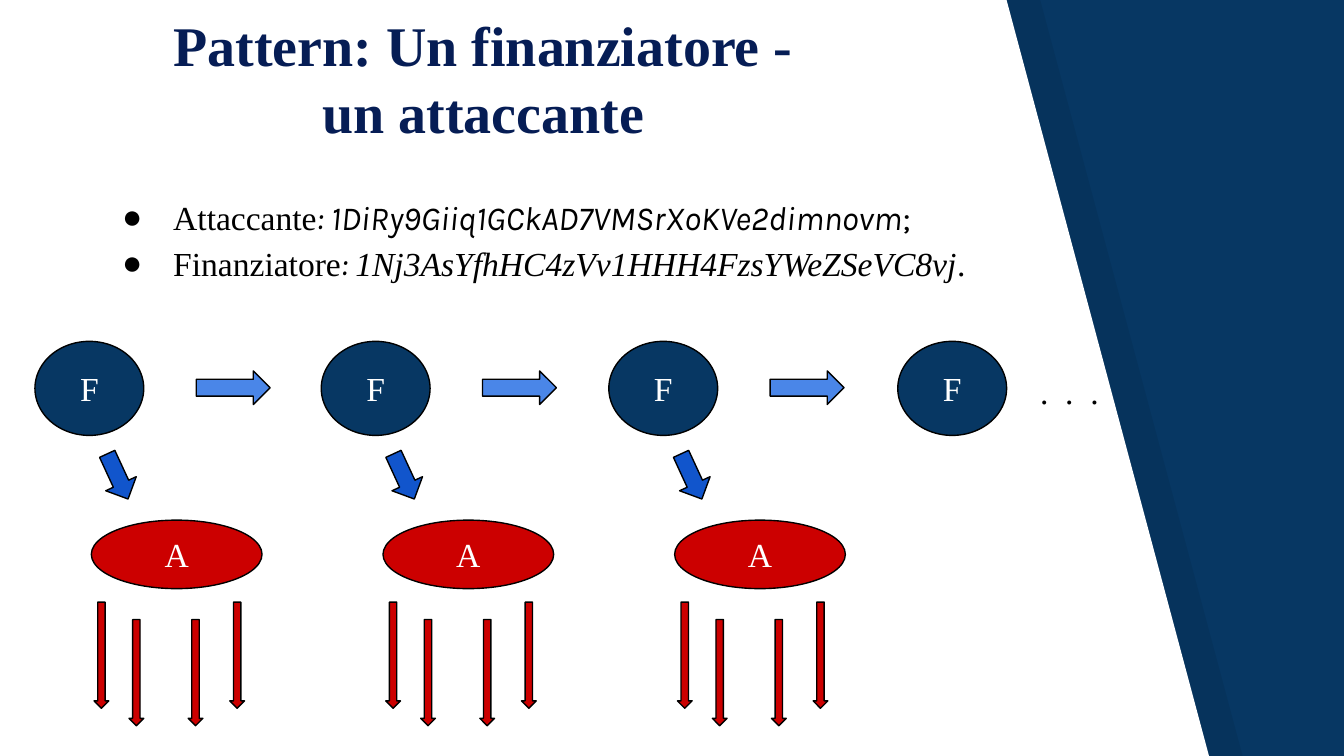
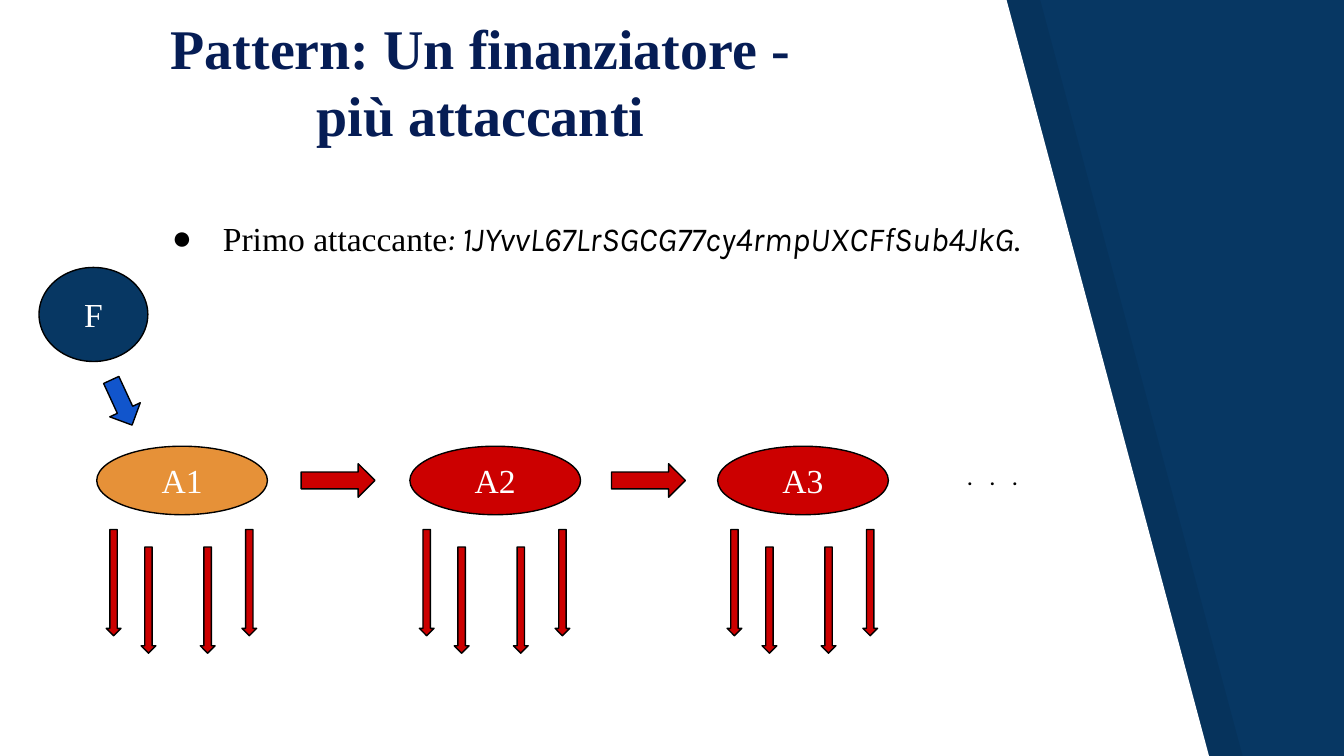
from dataclasses import dataclass

from lxml.etree import SubElement
from pptx import Presentation
from pptx.dml.color import RGBColor
from pptx.enum.shapes import MSO_SHAPE
from pptx.enum.text import MSO_ANCHOR, PP_ALIGN
from pptx.oxml.ns import qn
from pptx.util import Inches, Pt

SERIF, SANS = "Times New Roman", "Karla"
NAVY, TITLE_BLUE, SKY, BLUE = "073763", "061D55", "4A86E8", "1155CC"
RED, ORANGE, WHITE, BLACK = "CC0000", "E69138", "FFFFFF", "000000"
FRAME = {
    "word_wrap": True,
    "margin_left": Inches(0.1),
    "margin_right": Inches(0.1),
    "margin_top": Inches(0.1),
    "margin_bottom": Inches(0.1),
}


@dataclass(frozen=True)
class Kind:
    preset: MSO_SHAPE
    width: float
    height: float
    fill: str
    rotation: float = 0


@dataclass(frozen=True)
class Span:
    text: str
    font: str = SERIF
    italic: bool = False
    size: float = 18
    color: str = BLACK
    bold: bool = False
    tracking: int = 0


FUNDER = Kind(MSO_SHAPE.OVAL, 0.81, 0.7, NAVY)
ATTACKER = Kind(MSO_SHAPE.OVAL, 1.27, 0.51, RED)
FIRST_ATTACKER = Kind(MSO_SHAPE.OVAL, 1.27, 0.51, ORANGE)
NEXT_FUNDER = Kind(MSO_SHAPE.RIGHT_ARROW, 0.55, 0.25, SKY)
NEXT_ATTACKER = Kind(MSO_SHAPE.RIGHT_ARROW, 0.55, 0.25, RED)
FUNDING = Kind(MSO_SHAPE.RIGHT_ARROW, 0.37, 0.25, BLUE, 65.2)
ATTACK = Kind(MSO_SHAPE.DOWN_ARROW, 0.11, 0.79, RED)
ATTACK_OFFSETS = ((0, 0), (0.26, 0.13), (0.7, 0.13), (1.01, 0))


def rgb(color: str) -> RGBColor:
    return RGBColor.from_string(color)


def apply(target, values: dict) -> None:
    for name, value in values.items():
        setattr(target, name, value)


def write(para, spans: list[Span]) -> None:
    for item in spans:
        span = para.add_run()
        span.text = item.text
        apply(span.font, {"name": item.font, "size": Pt(item.size),
                          "bold": item.bold, "italic": item.italic})
        span.font.color.rgb = rgb(item.color)
        if item.tracking:
            span._r.get_or_add_rPr().set("spc", str(item.tracking))


def add_panel(page, left: float, color: str, opacity: int = 100) -> None:
    corners = [(left, 5.64), (left + 9, 5.64), (left + 7.49, 0)]
    builder = page.shapes.build_freeform(Inches(left), Inches(-0.01))
    builder.add_line_segments([(Inches(x), Inches(y)) for x, y in corners])
    panel = builder.convert_to_shape()
    panel.shadow.inherit = False
    panel.fill.solid()
    panel.fill.fore_color.rgb = rgb(color)
    panel.line.fill.background()
    if opacity < 100:
        paint = panel._element.spPr.find(qn("a:solidFill"))[0]
        SubElement(paint, qn("a:alpha")).set("val", str(opacity * 1000))


def add_text(page, left: float, top: float, width: float, height: float,
             lines: list[list[Span]], paragraph: dict, bulleted: bool = False,
             anchor: MSO_ANCHOR = MSO_ANCHOR.TOP) -> None:
    box = page.shapes.add_textbox(Inches(left), Inches(top), Inches(width), Inches(height))
    frame = box.text_frame
    apply(frame, {**FRAME, "vertical_anchor": anchor})
    for index, spans in enumerate(lines):
        para = frame.add_paragraph() if index else frame.paragraphs[0]
        if bulleted:
            properties = para._p.get_or_add_pPr()
            properties.set("marL", str(Inches(0.5)))
            properties.set("indent", str(Inches(-0.38)))
            paint = SubElement(properties, qn("a:buClr"))
            SubElement(paint, qn("a:srgbClr")).set("val", BLACK)
            SubElement(properties, qn("a:buFont")).set("typeface", SERIF)
            SubElement(properties, qn("a:buChar")).set("char", "●")
        apply(para, paragraph)
        write(para, spans)


def add_kind(page, kind: Kind, left: float, top: float, label: str = "") -> None:
    shape = page.shapes.add_shape(kind.preset, Inches(left), Inches(top),
                                  Inches(kind.width), Inches(kind.height))
    shape.rotation = kind.rotation
    shape.shadow.inherit = False
    shape.fill.solid()
    shape.fill.fore_color.rgb = rgb(kind.fill)
    shape.line.color.rgb = rgb(BLACK)
    shape.line.width = Pt(0.75)
    if label:
        apply(shape.text_frame, {**FRAME, "vertical_anchor": MSO_ANCHOR.MIDDLE})
        para = shape.text_frame.paragraphs[0]
        para.alignment = PP_ALIGN.CENTER
        write(para, [Span(label, color=WHITE)])


def add_attacker(page, kind: Kind, left: float, top: float, label: str,
                 inset: float, drop: float) -> None:
    add_kind(page, kind, left, top, label)
    for across, down in ATTACK_OFFSETS:
        add_kind(page, ATTACK, left + inset + across, top + drop + down)


def add_page(deck, title: str, left: float, top: float, height: float):
    page = deck.slides.add_slide(deck.slide_layouts[6])
    page.background.fill.solid()
    page.background.fill.fore_color.rgb = rgb(NAVY)
    add_panel(page, 0.25, BLACK, 7)
    add_panel(page, 0, WHITE)
    add_text(page, left, top, 5.25, height,
             [[Span(title, size=30, color=TITLE_BLUE, bold=True)]],
             {"alignment": PP_ALIGN.CENTER}, anchor=MSO_ANCHOR.BOTTOM)
    return page


def add_bullets(page, left: float, top: float, height: float, lines: list[list[Span]]) -> None:
    add_text(page, left, top, 7.21, height, lines, {"line_spacing": 1.15}, bulleted=True)


def build_single_attacker(deck) -> None:
    page = add_page(deck, "Pattern: Un finanziatore - un attaccante", 0.97, 0.11, 1.07)
    for step, left in enumerate((0.26, 2.39, 4.53, 6.68)):
        add_kind(page, FUNDER, left, 2.54, "F")
        if step < 3:
            add_kind(page, NEXT_FUNDER, left + 1.2, 2.76)
            add_kind(page, FUNDING, left + 0.43, 3.42)
            add_attacker(page, ATTACKER, 0.68 + 2.17 * step, 3.87, "A", 0.02, 0.61)
    add_text(page, 7.64, 2.66, 0.72, 0.5, [[Span(". . .", tracking=225)]], {})
    add_bullets(page, 0.69, 1.32, 0.85, [
        [Span("Attaccante"), Span(": 1DiRy9Giiq1GCkAD7VMSrXoKVe2dimnovm", SANS, True),
         Span(";", SANS)],
        [Span("Finanziatore"), Span(": ", SANS, True),
         Span("1Nj3AsYfhHC4zVv1HHH4FzsYWeZSeVC8vj", italic=True), Span(".")],
    ])


def build_many_attackers(deck) -> None:
    page = add_page(deck, "Pattern: Un finanziatore - più attaccanti", 0.95, 0.16, 1.04)
    add_kind(page, FUNDER, 0.29, 1.99, "F")
    add_kind(page, FUNDING, 0.72, 2.87)
    for number, left in enumerate((0.72, 3.05, 5.34), 1):
        kind = FIRST_ATTACKER if number == 1 else ATTACKER
        add_attacker(page, kind, left, 3.32, f"A{number}", 0.07, 0.62)
    for left in (2.24, 4.55):
        add_kind(page, NEXT_ATTACKER, left, 3.45)
    add_text(page, 6.91, 3.32, 0.95, 0.44, [[Span(". . .", SANS, size=14, tracking=315)]],
             {"alignment": PP_ALIGN.CENTER})
    add_bullets(page, 1.06, 1.48, 0.5, [
        [Span("Primo attaccante"), Span(": 1JYvvL67LrSGCG77cy4rmpUXCFfSub4JkG", SANS, True),
         Span(".", SANS)],
    ])


def main() -> None:
    deck = Presentation()
    width = Inches(10)
    apply(deck, {"slide_width": width, "slide_height": width * 9 // 16})
    build_single_attacker(deck)
    build_many_attackers(deck)
    deck.save("out.pptx")


if __name__ == "__main__":
    main()
